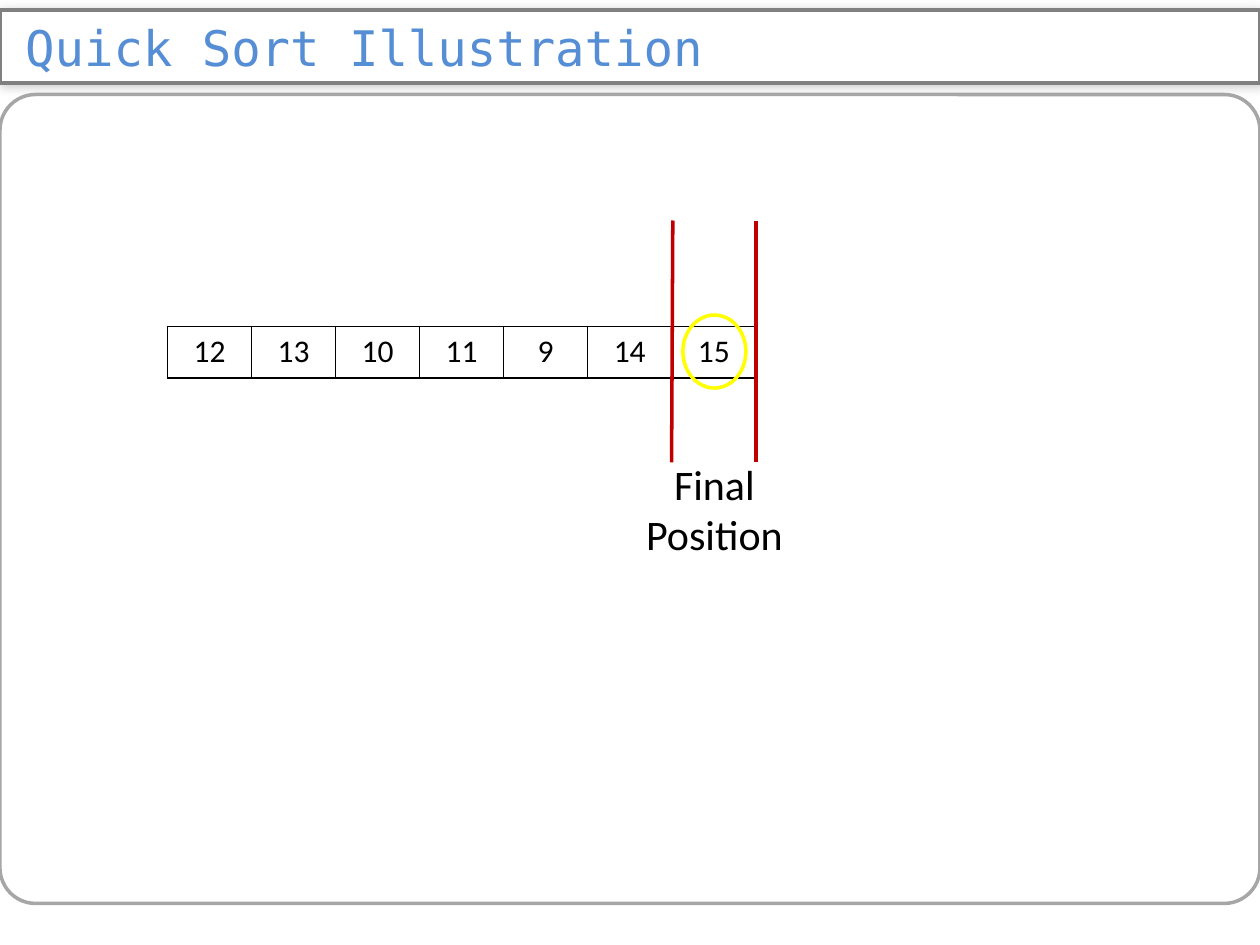
from lxml import etree
from pptx import Presentation
from pptx.dml.color import RGBColor
from pptx.enum.shapes import MSO_CONNECTOR, MSO_SHAPE
from pptx.enum.text import MSO_ANCHOR, MSO_AUTO_SIZE, PP_ALIGN
from pptx.oxml import parse_xml
from pptx.oxml.ns import nsdecls, qn
from pptx.util import Inches, Pt

ROUND = MSO_SHAPE.ROUNDED_RECTANGLE
OVAL = MSO_SHAPE.OVAL
LINE = MSO_CONNECTOR.STRAIGHT
MID = MSO_ANCHOR.MIDDLE
LEFT, CENTER = PP_ALIGN.LEFT, PP_ALIGN.CENTER
FIXED = MSO_AUTO_SIZE.NONE
GROW = MSO_AUTO_SIZE.SHAPE_TO_FIT_TEXT


def tint(code):
    """Turn a hex string into a colour."""
    return RGBColor.from_string(code)


class Deck:
    """Hold the style and the current slide."""

    def __init__(self):
        """Start a deck with one titled slide."""
        self.font = "Calibri"
        self.ink = "000000"
        self.show = Presentation()
        self.show.slide_width, self.show.slide_height = Inches(10), Inches(7.5)
        self.slide = self.show.slides.add_slide(self.show.slide_layouts[5])

    def style(self, item, values):
        """Set each attribute named in a dict."""
        for name, value in values.items():
            setattr(item, name, value)

    def words(self, frame, text, size, align=CENTER, font=None, ink=None):
        """Put one styled paragraph in a text frame."""
        para = frame.paragraphs[0]
        para.text, para.alignment = text, align
        self.style(para.font, {"size": Pt(size), "name": font or self.font})
        para.font.color.rgb = tint(ink or self.ink)

    def stroke(self, line, ink, width):
        """Style a line."""
        line.color.rgb, line.width = tint(ink), Pt(width)

    def title(self, text, box):
        """Make the title a rounded bar with a soft shadow."""
        bar = self.slide.shapes.title
        self.style(bar, dict(zip(("left", "top", "width", "height"), map(Inches, box))))
        props = bar.element.spPr
        props.append(parse_xml(
            f'<a:prstGeom {nsdecls("a")} prst="roundRect"><a:avLst>'
            '<a:gd name="adj" fmla="val 40900"/></a:avLst></a:prstGeom>'))
        bar.fill.solid()
        bar.fill.fore_color.rgb = tint("FFFFFF")
        self.stroke(bar.line, "808080", 2.5)
        props.append(parse_xml(
            f'<a:effectLst {nsdecls("a")}><a:outerShdw blurRad="{Pt(6)}" '
            f'dist="{Pt(1)}" dir="2700000"><a:srgbClr val="000000">'
            '<a:alpha val="20000"/></a:srgbClr></a:outerShdw></a:effectLst>'))
        self.style(bar.text_frame, {
            "auto_size": FIXED, "word_wrap": True, "vertical_anchor": MID,
            "margin_left": Inches(0.2), "margin_right": Inches(0.1),
            "margin_top": 0, "margin_bottom": 0})
        self.words(bar.text_frame, text, 28, LEFT, "DejaVu Sans Mono", "558ED5")

    def shape(self, kind, box, ink, adjust=None):
        """Draw an outlined shape without fill."""
        item = self.slide.shapes.add_shape(kind, *map(Inches, box))
        item.shadow.inherit = False
        item.fill.background()
        self.stroke(item.line, ink, 2)
        if adjust is not None:
            item.adjustments[0] = adjust

    def row(self, values, left, top, width, height):
        """Draw an array as a one-row table."""
        grid = self.slide.shapes.add_table(
            1, len(values), *map(Inches, (left, top, width, height))).table
        self.style(grid, {"first_row": False, "horz_banding": False})
        for cell, value in zip(grid.rows[0].cells, values):
            self.words(cell.text_frame, str(value), 18)
            self.edge(cell)
            cell.fill.background()

    def edge(self, cell):
        """Give a cell thin borders on all sides."""
        props = cell._tc.get_or_add_tcPr()
        for side in ("lnL", "lnR", "lnT", "lnB"):
            line = etree.SubElement(props, qn(f"a:{side}"), w=str(Pt(1)))
            fill = etree.SubElement(line, qn("a:solidFill"))
            etree.SubElement(fill, qn("a:srgbClr"), val=self.ink)

    def rule(self, start, end, ink):
        """Draw a straight line."""
        item = self.slide.shapes.add_connector(LINE, *map(Inches, start + end))
        self.stroke(item.line, ink, 2)
        etree.SubElement(item.element.spPr, qn("a:effectLst"))

    def label(self, text, box):
        """Add a centred text box."""
        frame = self.slide.shapes.add_textbox(*map(Inches, box)).text_frame
        self.style(frame, {"word_wrap": True, "auto_size": GROW})
        self.words(frame, text, 24)


def main():
    """Build and save the slide."""
    deck = Deck()
    deck.title("Quick Sort Illustration", (0, 0.08, 10, 0.58))
    deck.shape(ROUND, (0, 0.75, 10, 6.42), "A6A6A6", 0.044)
    deck.row([12, 13, 10, 11, 9, 14, 15], 1.33, 2.59, 4.67, 0.41)
    deck.shape(OVAL, (5.42, 2.5, 0.5, 0.58), "FFFF00")
    for top, foot in ((6, 6), (5.34, 5.33)):
        deck.rule((top, 1.75), (foot, 3.67), "C00000")
    deck.label("Final Position", (4.92, 3.59, 1.5, 0.91))
    deck.show.save("out.pptx")


if __name__ == "__main__":
    main()
